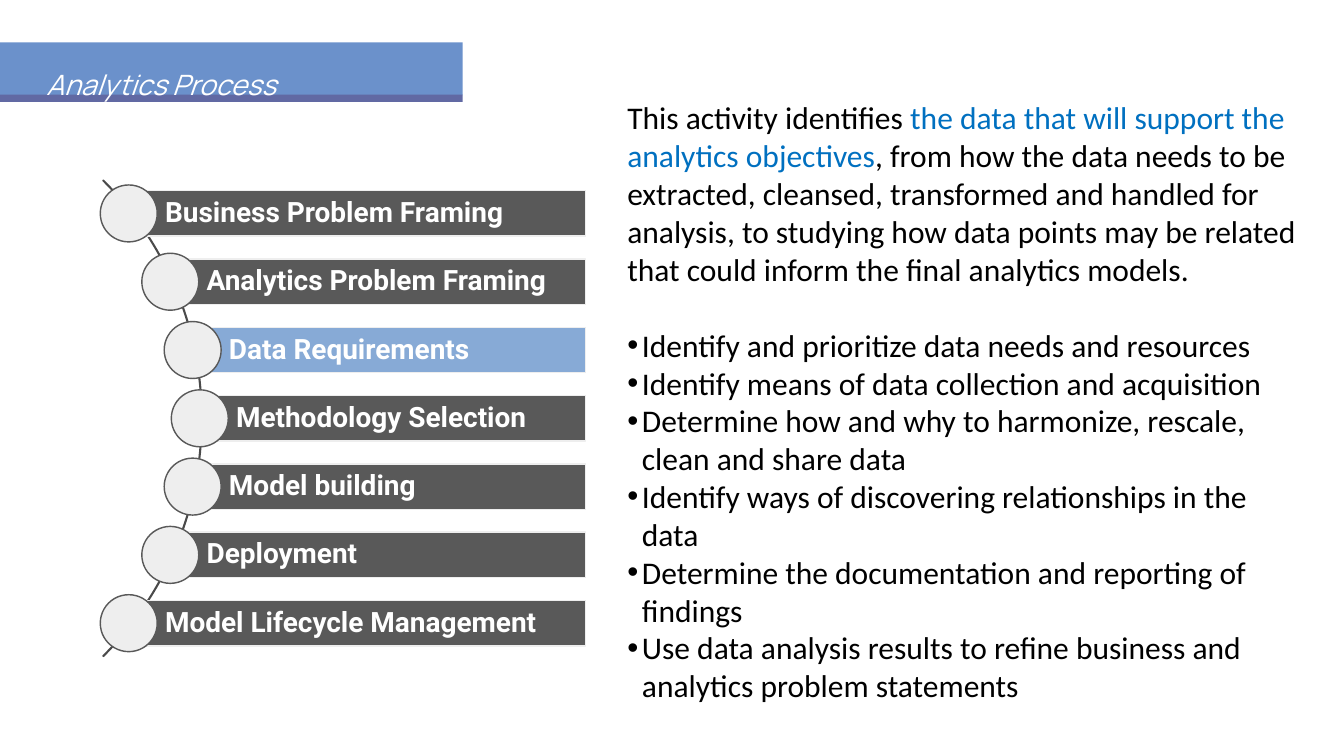
from math import sqrt
from typing import NamedTuple

from lxml import etree
from pptx import Presentation
from pptx.dml.color import RGBColor
from pptx.enum.shapes import MSO_SHAPE
from pptx.enum.text import MSO_ANCHOR, MSO_AUTO_SIZE, PP_ALIGN
from pptx.oxml.ns import qn
from pptx.util import Inches, Pt

RECT, OVAL, ARC = MSO_SHAPE.RECTANGLE, MSO_SHAPE.OVAL, MSO_SHAPE.BLOCK_ARC
MIDDLE, LEFT = MSO_ANCHOR.MIDDLE, PP_ALIGN.LEFT
GROW = MSO_AUTO_SIZE.SHAPE_TO_FIT_TEXT

WHITE = RGBColor(0xFF, 0xFF, 0xFF)
BLACK = RGBColor(0x00, 0x00, 0x00)
GREY = RGBColor(0x59, 0x59, 0x59)
ARC_GREY = RGBColor(0x4A, 0x4A, 0x4A)
PALE = RGBColor(0xEE, 0xEE, 0xEE)
CURRENT_BLUE = RGBColor(0x87, 0xAA, 0xD6)
TEXT_BLUE = RGBColor(0x00, 0x70, 0xC0)
BANNER_BLUE = RGBColor(0x6B, 0x91, 0xCB)
BANNER_PURPLE = RGBColor(0x61, 0x69, 0xA3)

STEP_FONT = {"name": "Roboto", "size": Pt(40), "bold": True}
TITLE_FONT = {"name": "Manrope", "size": Pt(40), "italic": True}
BODY_FONT = {"name": "Calibri", "size": Pt(45)}

# Step geometry in inches: the circles sit on a curve
CURVE_X, CURVE_RADIUS = -2.6, 6.565
MIDDLE_Y, STEP_GAP = 8.3, 1.355
BAR_RIGHT, BAR_HEIGHT, CIRCLE_SIZE = 11.62, 0.9, 1.13


class Box(NamedTuple):
    left: float
    top: float
    width: float
    height: float

    def lengths(self) -> list:
        return [Inches(value) for value in self]


class Step(NamedTuple):
    label: str
    fill: RGBColor = GREY


STEPS = [
    Step("Business Problem Framing"),
    Step("Analytics Problem Framing"),
    Step("Data Requirements", CURRENT_BLUE),
    Step("Methodology Selection"),
    Step("Model building"),
    Step("Deployment"),
    Step("Model Lifecycle Management"),
]
INTRO = [
    ("This activity identifies ", BLACK),
    ("the data that will support the analytics objectives", TEXT_BLUE),
    (", from how the data needs to be extracted, cleansed, transformed and "
     "handled for analysis, to studying how data points may be related that "
     "could inform the final analytics models.", BLACK),
]
TASKS = [
    "Identify and prioritize data needs and resources",
    "Identify means of data collection and acquisition",
    "Determine how and why to harmonize, rescale, clean and share data",
    "Identify ways of discovering relationships in the data",
    "Determine the documentation and reporting of findings",
    "Use data analysis results to refine business and analytics problem statements",
]


def add_shape(slide, kind, box: Box, fill=None, line=None):
    shape = slide.shapes.add_shape(kind, *box.lengths())
    shape.shadow.inherit = False
    if fill is None:
        shape.fill.background()
    else:
        shape.fill.solid()
        shape.fill.fore_color.rgb = fill
    if line is None:
        shape.line.fill.background()
    else:
        shape.line.color.rgb = line
        shape.line.width = Pt(2)
    return shape


def set_frame(frame, insets: tuple, **values) -> None:
    sides = ("margin_left", "margin_top", "margin_right", "margin_bottom")
    margins = dict(zip(sides, map(Inches, insets)))
    for name, value in {"word_wrap": True, **margins, **values}.items():
        setattr(frame, name, value)


def add_run(paragraph, text: str, color: RGBColor, font: dict) -> None:
    run = paragraph.add_run()
    run.text = text
    for name, value in font.items():
        setattr(run.font, name, value)
    run.font.color.rgb = color


def add_bullet(paragraph) -> None:
    properties = paragraph._p.get_or_add_pPr()
    properties.set("marL", str(Inches(0.29)))
    properties.set("indent", str(Inches(-0.31)))
    color = etree.SubElement(properties, qn("a:buClr"))
    etree.SubElement(color, qn("a:srgbClr"), val=str(BLACK))
    etree.SubElement(properties, qn("a:buFont"), typeface="Arial")
    etree.SubElement(properties, qn("a:buChar"), char="•")


def add_step(slide, step: Step, offset: float) -> None:
    """Draw one bar and its circle, offset inches below the middle step."""
    x = CURVE_X + sqrt(CURVE_RADIUS ** 2 - offset ** 2)
    y = MIDDLE_Y + offset
    bar_box = Box(x, y - BAR_HEIGHT / 2, BAR_RIGHT - x, BAR_HEIGHT)
    bar = add_shape(slide, RECT, bar_box, step.fill, PALE)
    set_frame(bar.text_frame, (0.72, 0.11, 0.11, 0.11), vertical_anchor=MIDDLE)
    label = bar.text_frame.paragraphs[0]
    label.alignment = LEFT
    label.line_spacing = 0.9
    add_run(label, step.label, WHITE, STEP_FONT)
    radius = CIRCLE_SIZE / 2
    circle_box = Box(x - radius, y - radius, CIRCLE_SIZE, CIRCLE_SIZE)
    add_shape(slide, OVAL, circle_box, PALE, GREY)


def add_process(slide) -> None:
    arc = add_shape(slide, ARC, Box(-9.35, 1.62, 13.36, 13.36), line=ARC_GREY)
    for index, value in enumerate((189, 27, 0.001)):
        arc.adjustments[index] = value
    for index, step in enumerate(STEPS):
        add_step(slide, step, (index - len(STEPS) // 2) * STEP_GAP)


def add_description(slide) -> None:
    description = slide.shapes.add_textbox(*Box(12.35, 1.9, 13.67, 11.21).lengths())
    frame = description.text_frame
    set_frame(frame, (0.1, 0.05, 0.1, 0.05))
    for text, color in INTRO:
        add_run(frame.paragraphs[0], text, color, BODY_FONT)
    for index, task in enumerate(TASKS):
        paragraph = frame.add_paragraph()
        add_bullet(paragraph)
        if index == 0:
            paragraph.space_before = Pt(55)
        add_run(paragraph, task, BLACK, BODY_FONT)


def add_banner(slide) -> None:
    add_shape(slide, RECT, Box(0, 0.84, 9.18, 1.05), BANNER_BLUE)
    add_shape(slide, RECT, Box(0, 1.88, 9.18, 0.14), BANNER_PURPLE)
    title = slide.shapes.add_textbox(*Box(0.86, 1.03, 9.18, 0.79).lengths())
    set_frame(title.text_frame, (0.06,) * 4, vertical_anchor=MIDDLE, auto_size=GROW)
    heading = title.text_frame.paragraphs[0]
    heading.line_spacing = 1.73
    add_run(heading, "Analytics Process", WHITE, TITLE_FONT)


def main() -> None:
    deck = Presentation()
    deck.slide_width, deck.slide_height = Inches(26.67), Inches(15)
    slide = deck.slides.add_slide(deck.slide_layouts[6])
    add_process(slide)
    add_description(slide)
    add_banner(slide)
    deck.save("out.pptx")


if __name__ == "__main__":
    main()
